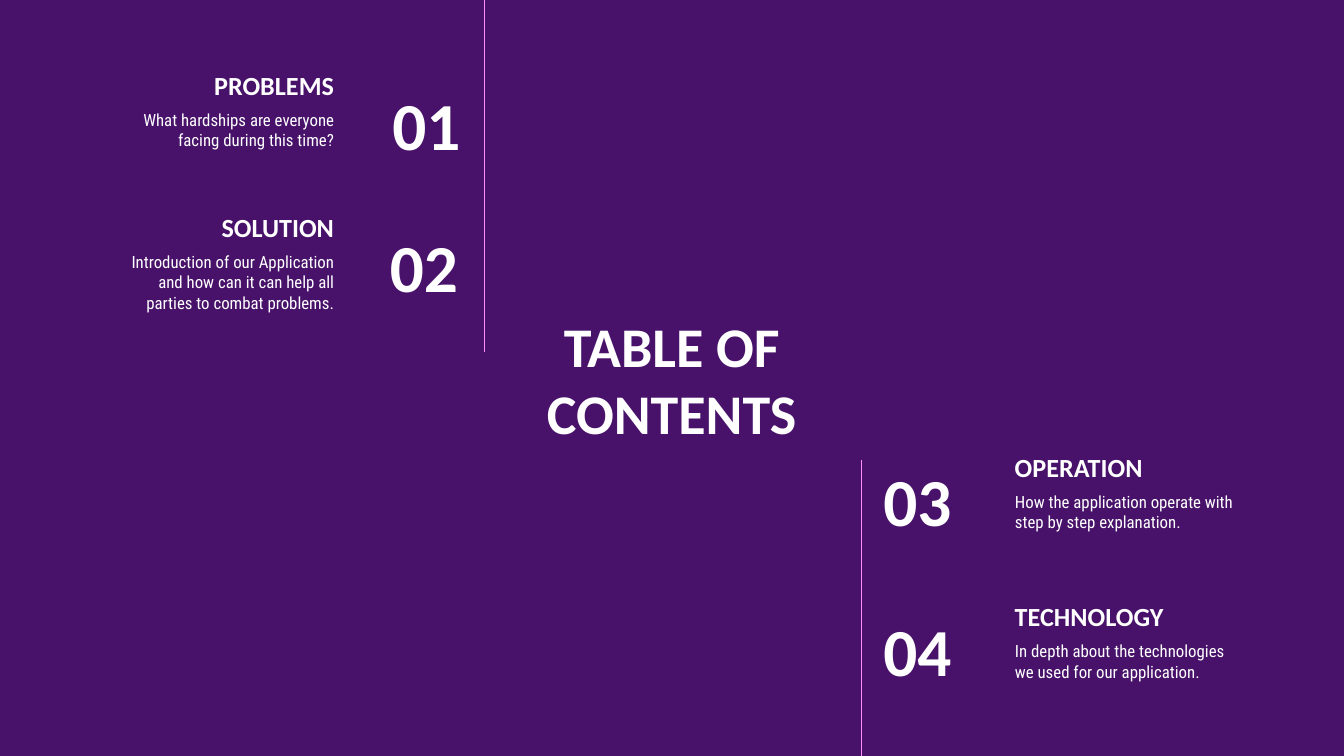
from dataclasses import dataclass
from lxml.etree import SubElement
from pptx import Presentation
from pptx.dml.color import RGBColor
from pptx.enum.shapes import MSO_CONNECTOR
from pptx.enum.text import MSO_ANCHOR, MSO_AUTO_SIZE, PP_ALIGN
from pptx.oxml.ns import qn
from pptx.shapes.base import BaseShape
from pptx.slide import Slide
from pptx.util import Inches, Length, Pt

WIDE = Inches(10)
HIGH = Length(WIDE * 9 // 16)


@dataclass(frozen=True)
class Theme:
    back: RGBColor = RGBColor(0x48, 0x12, 0x6A)
    ink: RGBColor = RGBColor(0xFF, 0xFF, 0xFF)
    rule: RGBColor = RGBColor(0xFF, 0x8C, 0xFF)
    head: str = "Calibri"
    body: str = "Roboto Condensed"
    title: float = 30
    count: float = 36
    topic: float = 14
    note: float = 9
    line: float = 0.75


@dataclass(frozen=True)
class Box:
    left: float
    top: float
    width: float
    height: float


@dataclass(frozen=True)
class Side:
    topic: float
    note: float
    align: PP_ALIGN


@dataclass(frozen=True)
class Item:
    count: str
    topic: str
    note: str
    side: Side
    top: float
    num: Box


THEME = Theme()
ROW = 11.2
DROP = 8.84
LEFT = Side(4.25, 7.55, PP_ALIGN.RIGHT)
RIGHT = Side(74.52, 74.52, PP_ALIGN.LEFT)
ITEMS = [
    Item("01", "PROBLEMS", "What hardships are everyone facing during this time?",
         LEFT, 3.9, Box(23.15, 10.7, 12.1, ROW)),
    Item("02", "SOLUTION",
         "Introduction of our Application and how can it can help all parties to combat problems.",
         LEFT, 22.7, Box(22.97, 29.58, 12.1, ROW)),
    Item("03", "OPERATION", "How the application operate with step by step explanation.",
         RIGHT, 54.45, Box(64.75, 60.52, 11.7, ROW)),
    Item("04", "TECHNOLOGY", "In depth about the technologies we used for our application.",
         RIGHT, 74.18, Box(64.75, 80.36, 11.7, ROW)),
]


def across(share: float) -> Length:
    return Length(round(WIDE * share / 100))


def down(share: float) -> Length:
    return Length(round(HIGH * share / 100))


def place(shape: BaseShape, box: Box) -> None:
    shape.left, shape.top = across(box.left), down(box.top)
    shape.width, shape.height = across(box.width), down(box.height)


def write(shape: BaseShape, text: str, *, box: Box, size: float, align: PP_ALIGN,
          anchor: MSO_ANCHOR = MSO_ANCHOR.MIDDLE, face: str = THEME.head,
          bold: bool = True) -> None:
    place(shape, box)
    frame = shape.text_frame
    frame.word_wrap = True
    frame.auto_size = MSO_AUTO_SIZE.NONE
    frame.vertical_anchor = anchor
    frame.margin_left = frame.margin_right = Inches(0.1)
    frame.margin_top = frame.margin_bottom = Inches(0.1)
    para = frame.paragraphs[0]
    para.alignment = align
    para.space_before = Pt(0)
    props = para._p.get_or_add_pPr()
    props.set("marL", "0")
    props.set("indent", "0")
    SubElement(props, qn("a:buNone"))
    run = para.add_run()
    run.text = text
    font = run.font
    font.name, font.size, font.bold = face, Pt(size), bold
    font.color.rgb = THEME.ink


def rule(slide: Slide, left: float, top: float, end: float) -> None:
    line = slide.shapes.add_connector(
        MSO_CONNECTOR.STRAIGHT, across(left), down(top), across(left), down(end))
    line.line.color.rgb = THEME.rule
    line.line.width = Pt(THEME.line)
    SubElement(line._element.spPr, qn("a:effectLst"))


def label(slide: Slide) -> BaseShape:
    return slide.shapes.add_textbox(0, 0, 0, 0)


def entry(slide: Slide, item: Item, body: BaseShape) -> None:
    side = item.side
    write(label(slide), item.topic, box=Box(side.topic, item.top, 21.6, ROW),
          size=THEME.topic, align=side.align, anchor=MSO_ANCHOR.BOTTOM)
    write(body, item.note, box=Box(side.note, item.top + DROP, 18.3, ROW),
          size=THEME.note, align=side.align, anchor=MSO_ANCHOR.TOP,
          face=THEME.body, bold=False)
    write(label(slide), item.count, box=item.num, size=THEME.count, align=side.align)


def main() -> None:
    deck = Presentation()
    deck.slide_width, deck.slide_height = WIDE, HIGH
    slide = deck.slides.add_slide(deck.slide_layouts.get_by_name("Comparison"))
    fill = slide.background.fill
    fill.solid()
    fill.fore_color.rgb = THEME.back
    write(slide.shapes.title, "TABLE OF CONTENTS", box=Box(37.03, 40.9, 25.9, 18.3),
          size=THEME.title, align=PP_ALIGN.CENTER)
    bodies = list(slide.placeholders)[1:5]
    for item, body in zip(ITEMS, bodies):
        entry(slide, item, body)
    rule(slide, 36.05, 0, 46.6)
    rule(slide, 64.1, 60.85, 100)
    deck.save("out.pptx")


if __name__ == "__main__":
    main()
